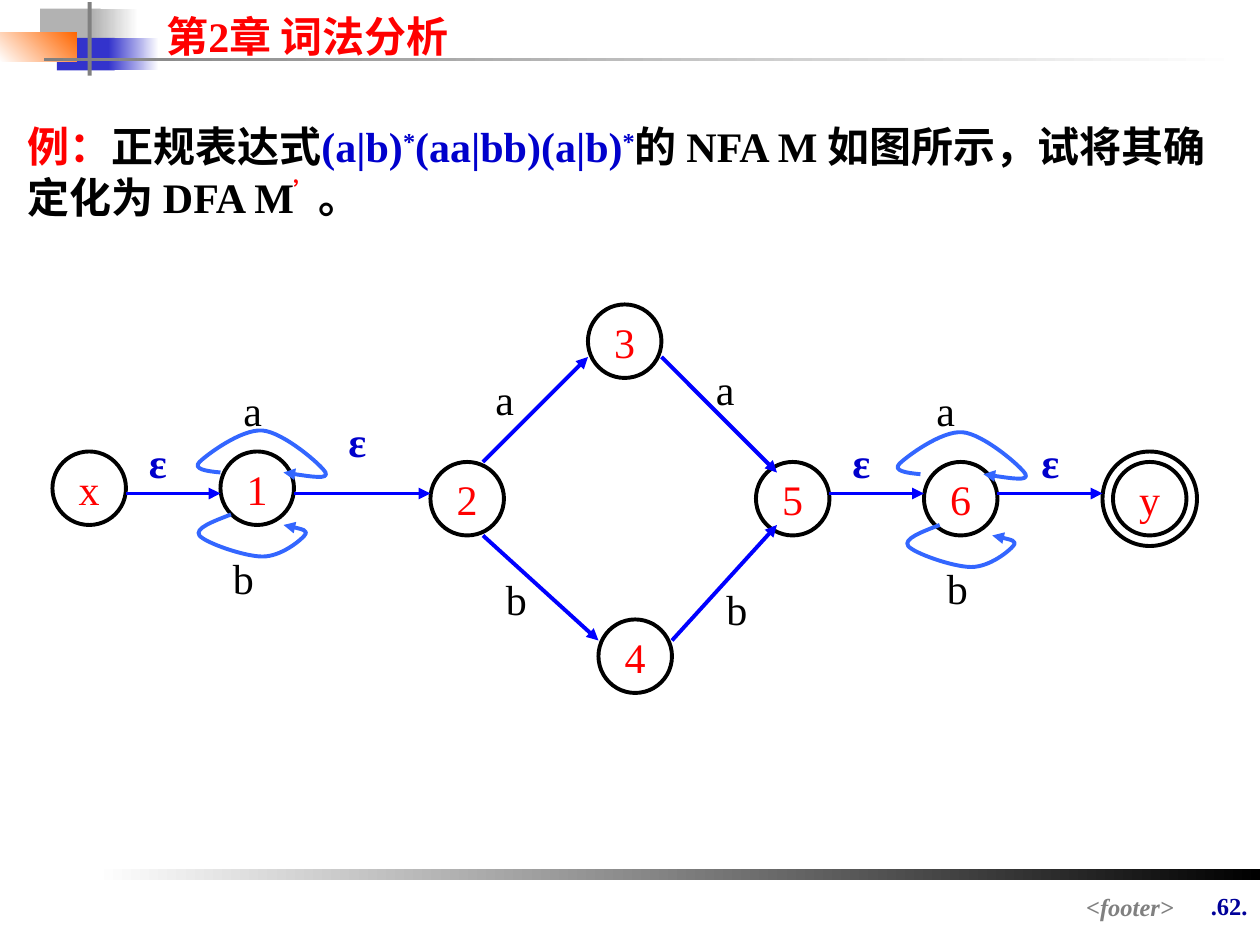
from dataclasses import dataclass

from lxml.etree import SubElement
from pptx import Presentation
from pptx.dml.color import RGBColor
from pptx.enum.shapes import MSO_CONNECTOR as CONN, MSO_SHAPE as SHAPE
from pptx.enum.text import MSO_ANCHOR as ANCHOR, PP_ALIGN as ALIGN
from pptx.oxml.ns import qn
from pptx.util import Pt


@dataclass(frozen=True)
class Theme:
    font: str = "Times New Roman"
    body: int = 24
    small: int = 14
    stroke: float = 2.25
    white: str = "FFFFFF"
    black: str = "000000"
    red: str = "FF0000"
    formula: str = "0000CC"
    arrow: str = "0000FF"
    loop: str = "3366FF"
    silver: str = "B2B2B2"
    gray: str = "808080"
    indigo: str = "3333CC"
    orange: str = "FF6600"
    navy: str = "000099"


class Painter:
    def __init__(self, slide, theme):
        self.shapes = slide.shapes
        self.theme = theme

    def _rgb(self, color):
        return RGBColor.from_string(color)

    def _font(self, p, color, size=None, bold=False, italic=False):
        f = p.font
        f.name, f.size = self.theme.font, Pt(size or self.theme.body)
        f.bold, f.italic = bold, italic
        f.color.rgb = self._rgb(color)

    def _stroke(self, sp, color, arrow=False):
        sp.line.color.rgb = self._rgb(color)
        sp.line.width = Pt(self.theme.stroke)
        if arrow:
            SubElement(sp.line._get_or_add_ln(), qn("a:tailEnd"), type="triangle")

    def bar(self, x, y, w, h, color, end=None, angle=0):
        sp = self.shapes.add_shape(SHAPE.RECTANGLE, Pt(x), Pt(y), Pt(w), Pt(h))
        sp.shadow.inherit = False
        sp.line.fill.background()
        if end is None:
            sp.fill.solid()
            sp.fill.fore_color.rgb = self._rgb(color)
            return
        sp.fill.gradient()
        sp.fill.gradient_angle = angle
        for stop, c in zip(sp.fill.gradient_stops, (color, end)):
            stop.color.rgb = self._rgb(c)

    def text(self, x, y, w, h, runs, color, size=None, bold=False,
             italic=False, align=ALIGN.LEFT):
        tf = self.shapes.add_textbox(Pt(x), Pt(y), Pt(w), Pt(h)).text_frame
        tf.word_wrap = True
        p = tf.paragraphs[0]
        p.alignment = align
        self._font(p, color, size, bold, italic)
        for content, run_color, raised in runs:
            r = p.add_run()
            r.text = content
            if run_color != color:
                r.font.color.rgb = self._rgb(run_color)
            if raised:
                r._r.get_or_add_rPr().set("baseline", "30000")

    def line_of_text(self, x, y, w, h, content, color, **style):
        self.text(x, y, w, h, [(content, color, False)], color, **style)

    def label(self, x, y, content):
        epsilon = content == "ε"
        color = self.theme.formula if epsilon else self.theme.black
        self.line_of_text(x, y, 36, 36, content, color, bold=epsilon)

    def state(self, x, y, content="", d=42):
        sp = self.shapes.add_shape(SHAPE.OVAL, Pt(x), Pt(y), Pt(d), Pt(d))
        sp.shadow.inherit = False
        sp.fill.background()
        self._stroke(sp, self.theme.black)
        if content:
            tf = sp.text_frame
            tf.word_wrap = False
            tf.vertical_anchor = ANCHOR.MIDDLE
            p = tf.paragraphs[0]
            p.text = content
            p.alignment = ALIGN.CENTER
            self._font(p, self.theme.red)

    def arrow(self, x1, y1, x2, y2):
        c = self.shapes.add_connector(CONN.STRAIGHT, Pt(x1), Pt(y1), Pt(x2), Pt(y2))
        self._stroke(c, self.theme.arrow, arrow=True)
        SubElement(c._element.spPr, qn("a:effectLst"))

    def loop(self, points, dx=0, dy=0):
        start, *rest = [(Pt(x + dx), Pt(y + dy)) for x, y in points]
        builder = self.shapes.build_freeform(*start)
        builder.add_line_segments(rest, close=False)
        sp = builder.convert_to_shape()
        segments = list(sp._element.iter(qn("a:lnTo")))
        for i in range(0, len(segments), 3):
            curve = SubElement(segments[i].getparent(), qn("a:cubicBezTo"))
            for seg in segments[i:i + 3]:
                curve.append(seg[0])
                seg.getparent().remove(seg)
        sp.shadow.inherit = False
        sp.fill.background()
        self._stroke(sp, self.theme.loop, arrow=True)


UPPER_LOOP = [(126, 270), (118, 269.3), (110, 268), (114, 264), (118, 260),
              (138, 245), (150, 246), (162, 247), (184, 266), (186, 270),
              (188, 274), (175, 272), (162, 270)]
LOWER_LOOP = [(132, 294), (121.5, 298), (111, 302), (114, 306), (117, 310),
              (139.5, 318), (150, 318), (160.5, 318), (171.5, 309), (174, 306),
              (176.5, 303), (169, 301.5), (162, 300)]
STATES = [("x", 30, 258), ("1", 126, 258), ("2", 246, 264), ("3", 336, 174),
          ("4", 342, 354), ("5", 432, 264), ("6", 528, 264), ("y", 636, 264)]
ARROWS = [(72, 282, 126, 282), (168, 282, 246, 282), (474, 282, 528, 282),
          (570, 282, 630, 282), (276, 264, 336, 204), (276, 306, 342, 366),
          (378, 204, 444, 270), (384, 366, 444, 300)]
LABELS = {
    "ε": [(78, 246), (192, 234), (480, 246), (588, 246)],
    "a": [(132, 216), (276, 210), (402, 204), (528, 216)],
    "b": [(126, 312), (282, 324), (408, 330), (534, 318)],
}


def draw_frame(s, t):
    s.bar(23, 5, 34.5, 19, t.silver)
    s.bar(53, 5, 26, 19, t.silver, t.white)
    s.bar(32.5, 21.6, 33, 18.7, t.indigo)
    s.bar(62, 21.6, 28.8, 18.7, t.indigo, t.white)
    s.bar(0, 18.5, 44, 16.8, t.orange, t.white, angle=225)
    s.bar(50, 1.2, 2.4, 42, t.gray)
    s.bar(25, 33, 685, 2, t.gray, t.white)
    s.line_of_text(88, 2.2, 227, 36, "第2章 词法分析", t.red, bold=True)
    s.bar(54, 496.8, 666, 6, t.white, t.black)
    s.line_of_text(672, 505.4, 48, 41, ".62.", t.navy, size=t.small,
                   bold=True, align=ALIGN.RIGHT)
    s.line_of_text(190, 506, 488, 19, "<footer>", t.gray, size=t.small,
                   bold=True, italic=True, align=ALIGN.RIGHT)


def draw_question(s, t):
    s.text(8.6, 65.5, 696, 75, [
        ("例：", t.red, False),
        ("正规表达式", t.black, False),
        ("(a|b)", t.formula, False),
        ("*", t.formula, True),
        ("(aa|bb)(a|b)", t.formula, False),
        ("*", t.formula, True),
        ("的 NFA M 如图所示，试将其确定化为 DFA M", t.black, False),
        ("’", t.red, True),
        ("。", t.black, False),
    ], t.black, bold=True)


def draw_automaton(s):
    for name, x, y in STATES:
        s.state(x, y, name)
    s.state(630, 258, d=54)
    for ends in ARROWS:
        s.arrow(*ends)
    for points, dx, dy in ((UPPER_LOOP, 400, 1), (LOWER_LOOP, 405, 6)):
        s.loop(points)
        s.loop(points, dx, dy)
    for content, places in LABELS.items():
        for x, y in places:
            s.label(x, y, content)


def main():
    prs = Presentation()
    prs.slide_width, prs.slide_height = Pt(720), Pt(540)
    theme = Theme()
    s = Painter(prs.slides.add_slide(prs.slide_layouts[6]), theme)
    draw_frame(s, theme)
    draw_question(s, theme)
    draw_automaton(s)
    prs.save("out.pptx")


if __name__ == "__main__":
    main()
